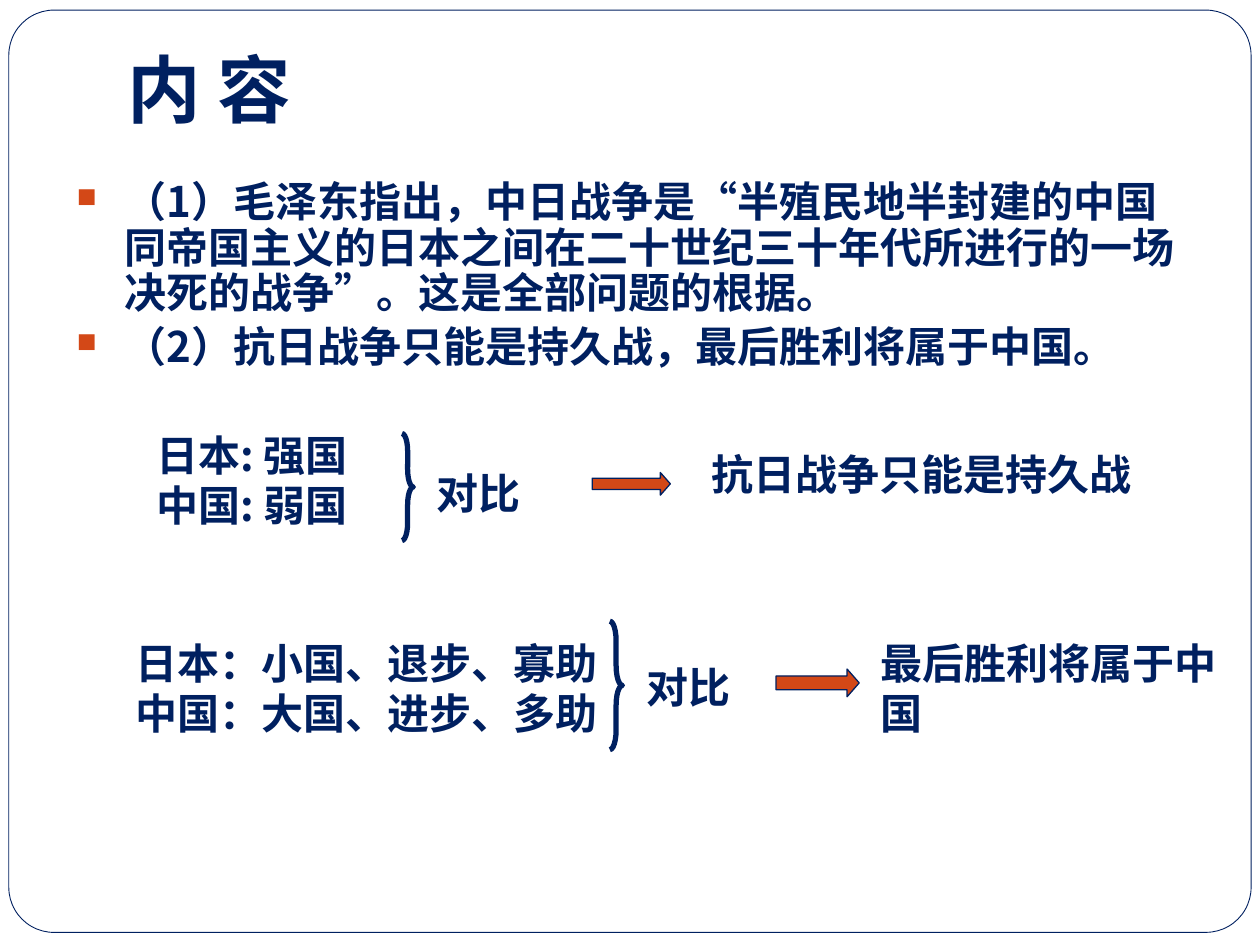
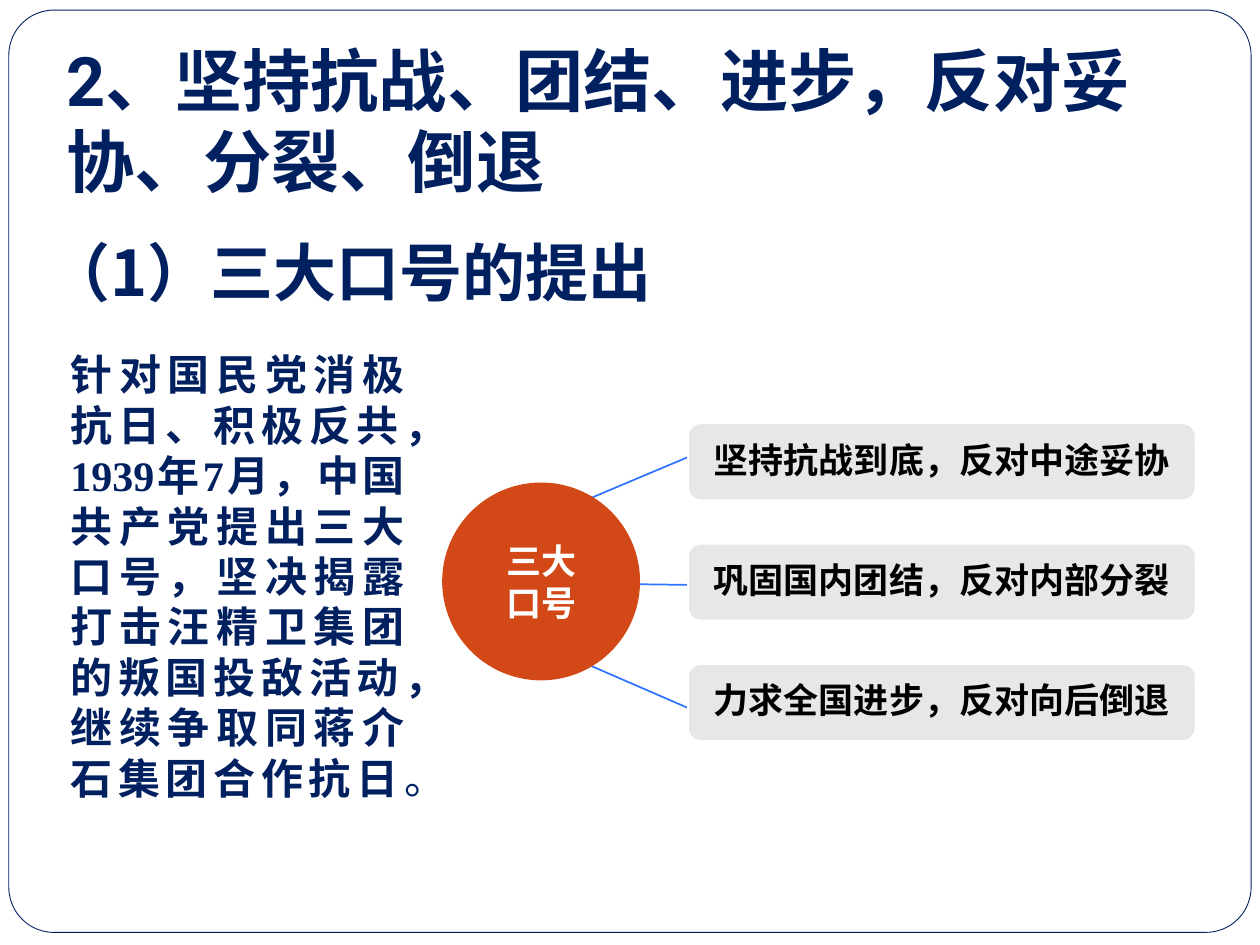
from lxml.etree import SubElement
from pptx import Presentation
from pptx.dml.color import RGBColor
from pptx.enum.lang import MSO_LANGUAGE_ID
from pptx.enum.shapes import MSO_CONNECTOR, MSO_SHAPE
from pptx.enum.text import MSO_ANCHOR, MSO_AUTO_SIZE, PP_ALIGN
from pptx.oxml.ns import qn
from pptx.util import Inches, Pt

NAVY = RGBColor(0x00, 0x20, 0x60)
ORANGE = RGBColor(0xD3, 0x48, 0x17)
BLUE = RGBColor(0x30, 0x75, 0xFF)
GREY = RGBColor(0xE9, 0xE6, 0xE7)
WHITE = RGBColor(0xFF, 0xFF, 0xFF)
BLACK = RGBColor(0x00, 0x00, 0x00)
SANS = "Noto Sans CJK JP"
ROBOTO = "Roboto"
SERIF = "Times New Roman"


def format_run(run, size, color=NAVY, latin=SANS, bold=True):
    font = run.font
    font.size = Pt(size)
    font.bold = bold
    font.color.rgb = color
    font.name = latin
    font.language_id = MSO_LANGUAGE_ID.SIMPLIFIED_CHINESE
    SubElement(run._r.get_or_add_rPr(), qn("a:ea"), typeface=SANS)


def write(frame, text, size, color=NAVY, latin=SANS, align=PP_ALIGN.LEFT,
          anchor=MSO_ANCHOR.TOP, insets=(0.1, 0.05, 0.1, 0.05)):
    frame.word_wrap = True
    frame.auto_size = MSO_AUTO_SIZE.NONE
    frame.vertical_anchor = anchor
    (frame.margin_left, frame.margin_top,
     frame.margin_right, frame.margin_bottom) = map(Inches, insets)
    frame.text = text
    for paragraph in frame.paragraphs:
        paragraph.alignment = align
        for run in paragraph.runs:
            format_run(run, size, color, latin)


def add_text(slide, place, text, size=24, **style):
    box = slide.shapes.add_textbox(*map(Inches, place))
    write(box.text_frame, text, size, **style)
    return box.text_frame


def set_title(slide, place, text, size, latin=SANS):
    title = slide.shapes.title
    title.left, title.top, title.width, title.height = map(Inches, place)
    write(title.text_frame, text, size, latin=latin)


def add_preset(slide, preset, place, fill=None, line=None, weight=1, adjust=()):
    shape = slide.shapes.add_shape(preset, *map(Inches, place))
    shape.shadow.inherit = False
    for index, value in enumerate(adjust):
        shape.adjustments[index] = value
    if fill is None:
        shape.fill.background()
    else:
        shape.fill.solid()
        shape.fill.fore_color.rgb = fill
    if line is None:
        shape.line.fill.background()
    else:
        shape.line.color.rgb = line
        shape.line.width = Pt(weight)
    return shape


def add_spoke(slide, ends):
    spoke = slide.shapes.add_connector(MSO_CONNECTOR.STRAIGHT, *map(Inches, ends))
    spoke.line.color.rgb = BLUE
    spoke.line.width = Pt(1)
    SubElement(spoke._element.spPr, qn("a:effectLst"))


def add_bullets(slide, place, points):
    frame = add_text(slide, place, "\n".join(points))
    for index, paragraph in enumerate(frame.paragraphs):
        paragraph.line_spacing = 0.9
        if index:
            paragraph.space_before = Pt(5)
        properties = paragraph._p.get_or_add_pPr()
        properties.set("marL", str(Inches(0.38)))
        properties.set("indent", str(-Inches(0.38)))
        bullet_color = SubElement(properties, qn("a:buClr"))
        SubElement(bullet_color, qn("a:srgbClr"), val=str(ORANGE))
        SubElement(properties, qn("a:buSzPct"), val="65000")
        SubElement(properties, qn("a:buChar"), char="■")


def add_comparison(slide, sides, sides_at, brace_at, label_at, arrow_at,
                   conclusion, conclusion_at):
    add_text(slide, sides_at, "\n".join(sides))
    add_preset(slide, MSO_SHAPE.RIGHT_BRACE, brace_at, line=NAVY, weight=3,
               adjust=(1.562, 0.5))
    add_text(slide, label_at, "对比")
    add_preset(slide, MSO_SHAPE.RIGHT_ARROW, arrow_at, ORANGE, NAVY, 0.75,
               adjust=(0.5, 0.438))
    add_text(slide, conclusion_at, conclusion)


def add_slogan_map(slide, hub, slogans):
    for ends in ((3.78, 4.89, 5.74, 5.74), (3.78, 4.62, 6.06, 4.65),
                 (3.77, 4.34, 5.74, 3.51)):
        add_spoke(slide, ends)
    for index, slogan in enumerate(slogans):
        card = add_preset(slide, MSO_SHAPE.ROUNDED_RECTANGLE,
                          (5.46, 3.36 + index * 0.955, 4.03, 0.61), GREY, WHITE)
        write(card.text_frame, slogan, 20, BLACK, SERIF, PP_ALIGN.CENTER,
              MSO_ANCHOR.MIDDLE, (0.17,) * 4)
        card.text_frame.paragraphs[0].line_spacing = 0.9
    circle = add_preset(slide, MSO_SHAPE.OVAL, (3.51, 3.83, 1.57, 1.57), ORANGE)
    write(circle.text_frame, hub, 20, WHITE, SERIF, PP_ALIGN.CENTER,
          MSO_ANCHOR.MIDDLE, (0,) * 4)


def move_frame_to_layout(slide):
    frame = add_preset(slide, MSO_SHAPE.ROUNDED_RECTANGLE, (0.07, 0.08, 9.86, 7.32),
                       WHITE, NAVY, 0.5, adjust=(0.049,))
    slide.slide_layout.shapes._spTree.insert(2, frame._element)


def build_content_slide(slide):
    set_title(slide, (0.91, 0.3, 8.59, 0.93), "内 容", 42)
    add_bullets(slide, (0.51, 1.39, 9, 1.81), (
        "（1）毛泽东指出，中日战争是“半殖民地半封建的中国同帝国主义的日本之间"
        "在二十世纪三十年代所进行的一场决死的战争”。这是全部问题的根据。",
        "（2）抗日战争只能是持久战，最后胜利将属于中国。"))
    add_comparison(slide, ("日本: 强国", "中国: 弱国"),
                   sides_at=(1.14, 3.36, 1.89, 0.91),
                   brace_at=(3.19, 3.44, 0.09, 0.85),
                   label_at=(3.37, 3.66, 1.24, 0.51),
                   arrow_at=(4.7, 3.75, 0.62, 0.18),
                   conclusion="抗日战争只能是持久战",
                   conclusion_at=(5.55, 3.51, 3.7, 0.5))
    add_comparison(slide, ("日本：小国、退步、寡助", "中国：大国、进步、多助"),
                   sides_at=(0.98, 5.01, 4.17, 0.91),
                   brace_at=(4.84, 4.93, 0.1, 1.02),
                   label_at=(5.03, 5.2, 1.31, 0.51),
                   arrow_at=(6.16, 5.31, 0.66, 0.22),
                   conclusion="最后胜利将属于中国",
                   conclusion_at=(6.89, 5.01, 2.99, 0.91))


def build_slogans_slide(slide):
    set_title(slide, (0.43, 0.25, 9.07, 1.45),
              "2、坚持抗战、团结、进步，反对妥协、分裂、倒退", 39, ROBOTO)
    add_text(slide, (0.28, 1.7, 5.67, 0.85), "（1）三大口号的提出", 36,
             anchor=MSO_ANCHOR.BOTTOM, insets=(0.1, 0.05, 0.1, 0.1))
    background = add_text(
        slide, (0.46, 2.72, 2.85, 3.74),
        "针对国民党消极抗日、积极反共，1939年7月，中国共产党提出三大口号，"
        "坚决揭露打击汪精卫集团的叛国投敌活动，继续争取同蒋介石集团合作抗日",
        latin=SERIF, align=PP_ALIGN.JUSTIFY)
    full_stop = background.paragraphs[0].add_run()
    full_stop.text = "。"
    format_run(full_stop, 24, latin=SERIF, bold=False)
    add_slogan_map(slide, "三大\n口号", (
        "坚持抗战到底，反对中途妥协",
        "巩固国内团结，反对内部分裂",
        "力求全国进步，反对向后倒退"))


def main():
    deck = Presentation()
    deck.slide_width, deck.slide_height = Inches(10), Inches(7.5)
    title_only = deck.slide_layouts[5]
    content = deck.slides.add_slide(title_only)
    move_frame_to_layout(content)
    build_content_slide(content)
    build_slogans_slide(deck.slides.add_slide(title_only))
    deck.save("out.pptx")


if __name__ == "__main__":
    main()
